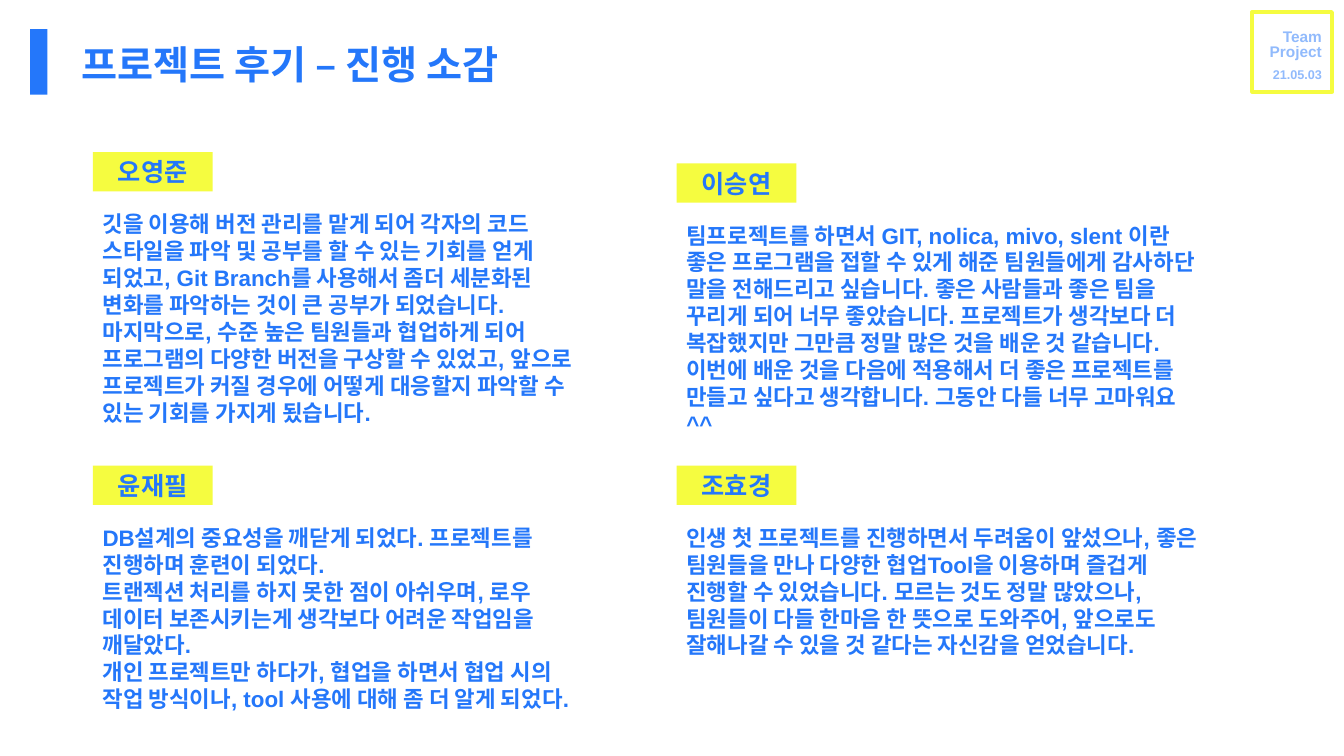
import pptx
import pptx.util
import pptx.dml.color
import pptx.enum.shapes
import pptx.enum.text
import pptx.oxml
import pptx.oxml.ns

Inches = pptx.util.Inches
Pt = pptx.util.Pt
Align = pptx.enum.text.PP_ALIGN
Anchor = pptx.enum.text.MSO_ANCHOR


def color(hex_string):
    return pptx.dml.color.RGBColor.from_string(hex_string)


class ReviewSlide:
    FONT = "Arial"
    BLUE = "2477FA"
    YELLOW = "F5FC40"

    def __init__(self, deck):
        self.slide = deck.slides.add_slide(deck.slide_layouts[5])

    def set_lines(self, frame, lines, size, align=Align.LEFT, spacing=None, opacity=None):
        frame.word_wrap = True
        frame.text = "\n".join(lines)
        for paragraph in frame.paragraphs:
            paragraph.alignment = align
            paragraph.line_spacing = spacing
            font = paragraph.font
            font.name, font.size, font.bold = self.FONT, Pt(size), True
            font.color.rgb = color(self.BLUE)
            if opacity:
                alpha = pptx.oxml.parse_xml(
                    f'<a:alpha {pptx.oxml.ns.nsdecls("a")} val="{opacity * 1000}"/>')
                paragraph._p.find(".//" + pptx.oxml.ns.qn("a:srgbClr")).append(alpha)

    def title(self, text, left, top, width, height):
        heading = self.slide.shapes.title
        heading.left, heading.top = Inches(left), Inches(top)
        heading.width, heading.height = Inches(width), Inches(height)
        self.set_lines(heading.text_frame, [text], 28, spacing=0.9)
        heading.text_frame.vertical_anchor = Anchor.MIDDLE

    def box(self, left, top, width, height, fill=None, outline=None):
        box = self.slide.shapes.add_shape(
            pptx.enum.shapes.MSO_SHAPE.RECTANGLE,
            Inches(left), Inches(top), Inches(width), Inches(height))
        box.shadow.inherit = False
        if fill:
            box.fill.solid()
            box.fill.fore_color.rgb = color(fill)
        else:
            box.fill.background()
        if outline:
            box.line.color.rgb = color(outline)
            box.line.width = Pt(3)
        else:
            box.line.fill.background()
        return box

    def text(self, lines, left, top, width, height, size, **style):
        area = self.slide.shapes.add_textbox(
            Inches(left), Inches(top), Inches(width), Inches(height))
        self.set_lines(area.text_frame, lines, size, **style)
        area.text_frame.auto_size = pptx.enum.text.MSO_AUTO_SIZE.SHAPE_TO_FIT_TEXT

    def review(self, name, lines, left, top, width, height):
        self.text(lines, left, top + 0.53, width, height, 16)
        tag = self.box(left, top, 1.19, 0.39, fill=self.YELLOW)
        self.set_lines(tag.text_frame, [name], 18, align=Align.CENTER)
        tag.text_frame.vertical_anchor = Anchor.MIDDLE

    def badge(self, team, date):
        self.box(12.42, 0.12, 0.79, 0.79, outline=self.YELLOW)
        faded = dict(align=Align.RIGHT, opacity=49)
        self.text(team, 12.45, 0.25, 0.76, 0.42, 11, spacing=Pt(11), **faded)
        self.text([date], 12.45, 0.61, 0.76, 0.25, 9, **faded)


def main():
    deck = pptx.Presentation()
    deck.slide_width, deck.slide_height = Inches(13.33), Inches(7.5)
    page = ReviewSlide(deck)
    page.box(0.3, 0.29, 0.17, 0.65, fill=page.BLUE)
    page.badge(["Team", "Project"], "21.05.03")
    page.title("프로젝트 후기 – 진행 소감", 0.71, 0.34, 11.16, 0.65)

    left_column, right_column = (0.92, 5), (6.71, 5.34)
    reviews = [
        ("오영준", left_column, 1.51, 2.26, [
            "깃을 이용해 버전 관리를 맡게 되어 각자의 코드 스타일을 파악 및 공부를 할 수 있는 "
            "기회를 얻게 되었고, Git Branch를 사용해서 좀더 세분화된 변화를 파악하는 것이 큰 "
            "공부가 되었습니다. 마지막으로, 수준 높은 팀원들과 협업하게 되어 프로그램의 다양한 "
            "버전을 구상할 수 있었고, 앞으로 프로젝트가 커질 경우에 어떻게 대응할지 파악할 수 "
            "있는 기회를 가지게 됬습니다."]),
        ("윤재필", left_column, 4.62, 1.72, [
            "DB설계의 중요성을 깨닫게 되었다. 프로젝트를 진행하며 훈련이 되었다.",
            "트랜젝션 처리를 하지 못한 점이 아쉬우며, 로우 데이터 보존시키는게 생각보다 어려운 "
            "작업임을 깨달았다.",
            "개인 프로젝트만 하다가, 협업을 하면서 협업 시의 작업 방식이나, tool 사용에 대해 "
            "좀 더 알게 되었다."]),
        ("이승연", right_column, 1.62, 1.99, [
            "팀프로젝트를 하면서 GIT, nolica, mivo, slent 이란 좋은 프로그램을 접할 수 있게 "
            "해준 팀원들에게 감사하단 말을 전해드리고 싶습니다. 좋은 사람들과 좋은 팀을 꾸리게 "
            "되어 너무 좋았습니다. 프로젝트가 생각보다 더 복잡했지만 그만큼 정말 많은 것을 배운 "
            "것 같습니다. 이번에 배운 것을 다음에 적용해서 더 좋은 프로젝트를 만들고 싶다고 "
            "생각합니다. 그동안 다들 너무 고마워요 ^^"]),
        ("조효경", right_column, 4.62, 1.45, [
            "인생 첫 프로젝트를 진행하면서 두려움이 앞섰으나, 좋은 팀원들을 만나 다양한 "
            "협업Tool을 이용하며 즐겁게 진행할 수 있었습니다. 모르는 것도 정말 많았으나, "
            "팀원들이 다들 한마음 한 뜻으로 도와주어, 앞으로도 잘해나갈 수 있을 것 같다는 "
            "자신감을 얻었습니다."]),
    ]
    for name, (left, width), top, height, lines in reviews:
        page.review(name, lines, left, top, width, height)
    deck.save("out.pptx")


if __name__ == "__main__":
    main()
